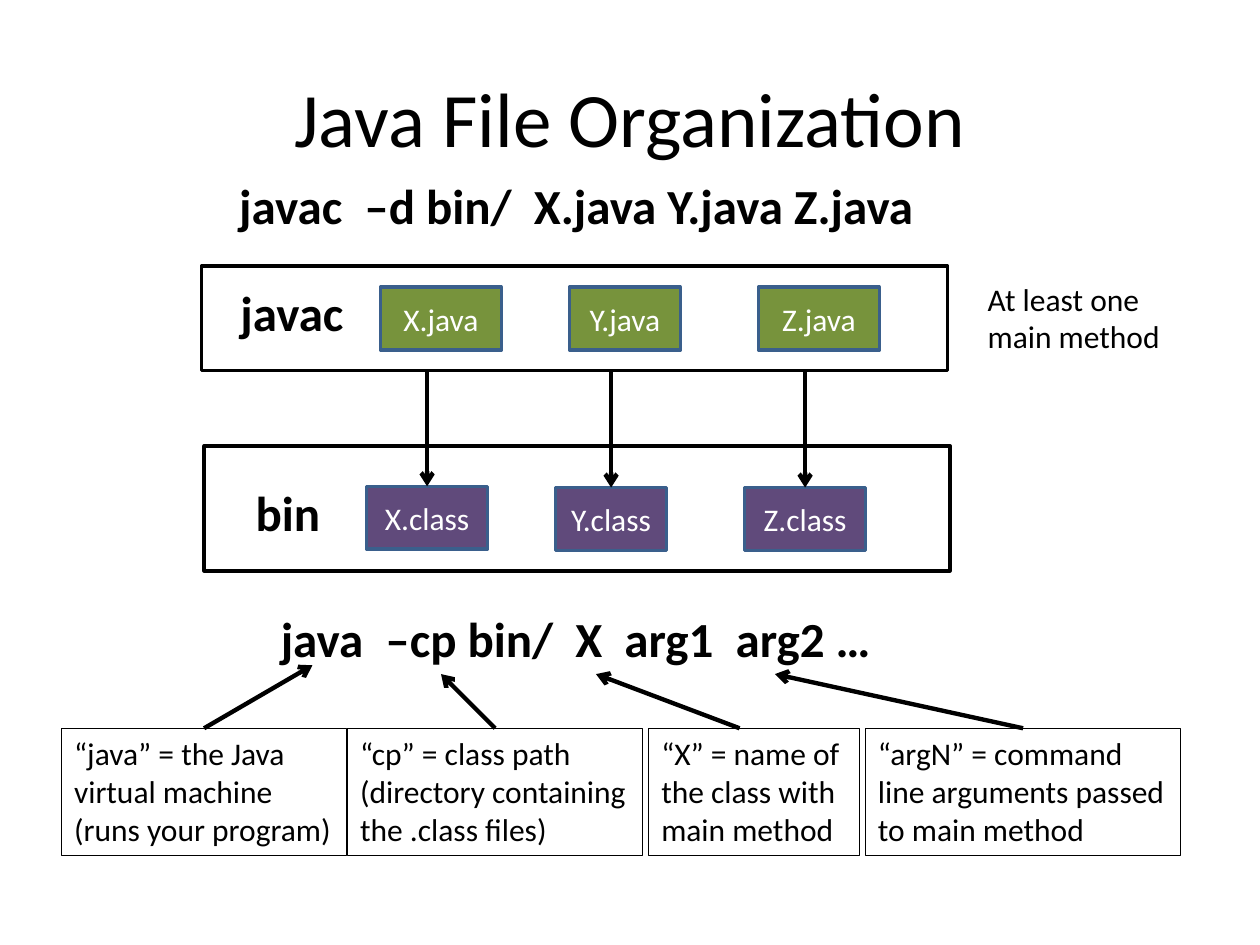
from dataclasses import dataclass
from typing import Optional

from lxml.etree import SubElement
from pptx import Presentation
from pptx.dml.color import RGBColor
from pptx.enum.shapes import MSO_CONNECTOR as Connector, MSO_SHAPE as Preset
from pptx.enum.text import MSO_ANCHOR as Anchor, MSO_AUTO_SIZE as AutoSize, PP_ALIGN as Align
from pptx.oxml.ns import qn
from pptx.util import Inches, Pt

BLACK = RGBColor(0x00, 0x00, 0x00)
WHITE = RGBColor(0xFF, 0xFF, 0xFF)
GREEN = RGBColor(0x77, 0x93, 0x3C)
PURPLE = RGBColor(0x60, 0x4A, 0x7B)
BLUE = RGBColor(0x3A, 0x5F, 0x8C)
FONT = "Calibri"
TOP, BOTTOM_OF_SOURCES = 0, 2.95
FILE_HEIGHT = 0.5
NOTE_TOP, NOTE_HEIGHT = 5.78, 1.01


@dataclass
class JavaFile:
    name: str
    source_left: float
    class_left: float
    class_top: float
    width: float


@dataclass
class Label:
    text: str
    left: float
    top: float
    width: float
    height: float = 0.57
    size: int = 28
    bold: bool = True


@dataclass
class Note:
    text: str
    left: float
    width: float
    target: tuple[float, float]
    start: Optional[float] = None


FILES = [
    JavaFile("X", 3.02, 2.91, 3.86, 0.96),
    JavaFile("Y", 4.52, 4.41, 3.87, 0.88),
    JavaFile("Z", 6.02, 5.91, 3.87, 0.96),
]
FRAMES = [(1.6, 2.11, 5.92, 0.83), (1.62, 3.54, 5.92, 0.99)]
LABELS = [
    Label("javac  –d bin/  X.java Y.java Z.java", 1.8, 1.34, 5.62),
    Label("javac", 1.81, 2.19, 1.03),
    Label("bin", 1.93, 3.78, 0.72),
    Label("java  –cp bin/  X  arg1  arg2 …", 2.13, 4.78, 4.98),
    Label("At least one\nmain method", 7.74, 2.17, 1.58, 0.71, 18, False),
]
NOTES = [
    Note("“java” = the Java\nvirtual machine\n(runs your program)", 0.49, 2.26, (2.48, 5.28)),
    Note("“cp” = class path\n(directory containing\nthe .class files)", 2.76, 2.34, (3.5, 5.35)),
    Note("“X” = name of\nthe class with\nmain method", 5.15, 1.67, (4.73, 5.35), 5.87),
    Note("“argN” = command\nline arguments passed\nto main method", 6.87, 2.5, (6.15, 5.35)),
]


def write_text(frame, text: str, *, size: int = 18, color: RGBColor = BLACK,
               bold: bool = False, align=Align.LEFT, anchor=Anchor.TOP,
               wrap: bool = False) -> None:
    frame.word_wrap = wrap
    frame.auto_size = AutoSize.NONE
    frame.vertical_anchor = anchor
    for index, line in enumerate(text.split("\n")):
        para = frame.paragraphs[0] if index == 0 else frame.add_paragraph()
        para.alignment = align
        span = para.add_run()
        span.text = line
        span.font.name = FONT
        span.font.size = Pt(size)
        span.font.bold = bold
        span.font.color.rgb = color


def add_box(page, left: float, top: float, width: float, height: float, *,
            line: RGBColor = BLACK, weight: float = 2, fill: Optional[RGBColor] = None):
    box = page.shapes.add_shape(
        Preset.RECTANGLE, Inches(left), Inches(top), Inches(width), Inches(height))
    box.shadow.inherit = False
    if fill is None:
        box.fill.background()
    else:
        box.fill.solid()
        box.fill.fore_color.rgb = fill
    box.line.color.rgb = line
    box.line.width = Pt(weight)
    return box


def add_file(page, text: str, left: float, top: float, width: float, fill: RGBColor):
    box = add_box(page, left, top, width, FILE_HEIGHT, line=BLUE, fill=fill)
    write_text(box.text_frame, text, color=WHITE, align=Align.CENTER,
               anchor=Anchor.MIDDLE, wrap=True)
    return box


def add_arrow(page, start: tuple[float, float], end: tuple[float, float]):
    arrow = page.shapes.add_connector(
        Connector.STRAIGHT, *(Inches(value) for value in (*start, *end)))
    arrow.line.color.rgb = BLACK
    arrow.line.width = Pt(2.5)
    SubElement(arrow.line._get_or_add_ln(), qn("a:tailEnd"), type="arrow")
    SubElement(arrow._element.spPr, qn("a:effectLst"))
    return arrow


def add_label(page, label: Label) -> None:
    box = page.shapes.add_textbox(
        Inches(label.left), Inches(label.top), Inches(label.width), Inches(label.height))
    write_text(box.text_frame, label.text, size=label.size, bold=label.bold)


def add_note(page, note: Note) -> None:
    box = add_box(page, note.left, NOTE_TOP, note.width, NOTE_HEIGHT, weight=0.75)
    write_text(box.text_frame, note.text)
    start = note.start or note.left + note.width / 2
    arrow = add_arrow(page, (start, NOTE_TOP), note.target)
    if note.start is None:
        arrow.begin_connect(box, TOP)


def add_compilation(page, file: JavaFile) -> None:
    add_file(page, f"{file.name}.java", file.source_left, 2.28, file.width, GREEN)
    compiled = add_file(page, f"{file.name}.class", file.class_left, file.class_top,
                        file.width, PURPLE)
    center = file.class_left + file.width / 2
    arrow = add_arrow(page, (center, BOTTOM_OF_SOURCES), (center, file.class_top))
    arrow.end_connect(compiled, TOP)


def main() -> None:
    deck = Presentation()
    deck.slide_width, deck.slide_height = Inches(10), Inches(7.5)
    page = deck.slides.add_slide(deck.slide_layouts[5])
    title = page.shapes.title
    title.left, title.top = Inches(0.5), Inches(0.3)
    title.width, title.height = Inches(9), Inches(1.25)
    write_text(title.text_frame, "Java File Organization", size=44,
               align=Align.CENTER, anchor=Anchor.MIDDLE, wrap=True)
    for file in FILES:
        add_compilation(page, file)
    for frame in FRAMES:
        add_box(page, *frame)
    for label in LABELS:
        add_label(page, label)
    for note in NOTES:
        add_note(page, note)
    deck.save("out.pptx")


if __name__ == "__main__":
    main()
